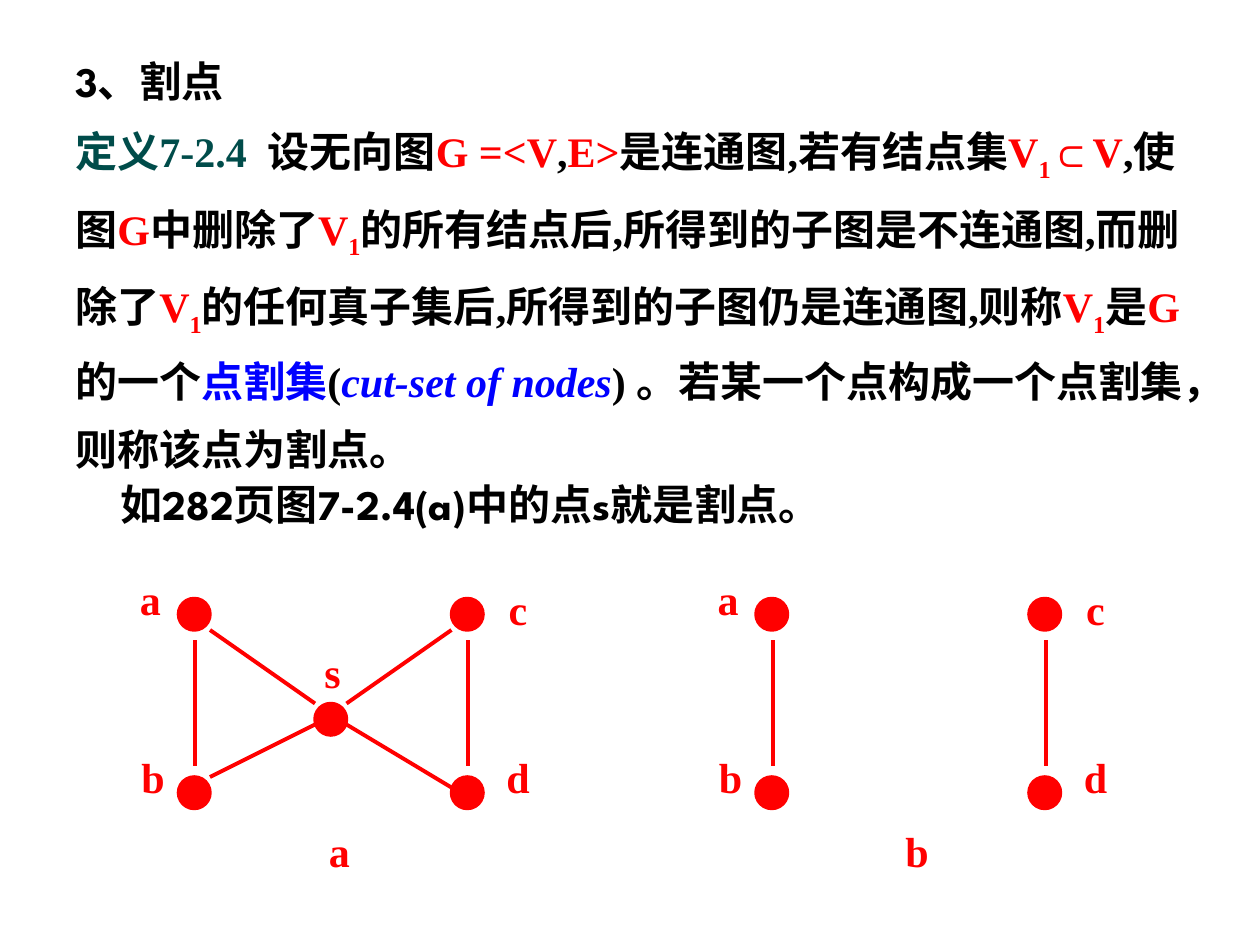
"""Build a slide that defines cut points and shows a graph before and after removing one."""
import pptx
import pptx.util
import pptx.dml.color
import pptx.enum.shapes
import pptx.enum.text
import pptx.oxml
import pptx.oxml.ns

Pt = pptx.util.Pt
RED, BLACK, BLUE, TEAL = "FF0000", "000000", "0000FF", "004C4A"
SERIF, HEAD, SANS = "Times New Roman", "League Spartan", "Noto Sans CJK SC"
STYLES = {
    "head": (HEAD, BLACK), "term": (SERIF, TEAL), "body": (SERIF, BLACK),
    "var": (SERIF, RED), "sub": (SERIF, RED), "sign": ("Arial", RED),
    "sans": (SANS, BLACK), "key": (SANS, BLUE), "latin": (SERIF, BLUE),
}


def tint(code):
    return pptx.dml.color.RGBColor.from_string(code)


def write(left, top, width, height, paras, space=None, center=False, wrap=True):
    frame = shapes.add_textbox(Pt(left), Pt(top), Pt(width), Pt(height)).text_frame
    frame.word_wrap = wrap
    frame.auto_size = pptx.enum.text.MSO_AUTO_SIZE.SHAPE_TO_FIT_TEXT
    for num, runs in enumerate(paras):
        para = frame.add_paragraph() if num else frame.paragraphs[0]
        if space:
            para.line_spacing = space
        if center:
            para.alignment = pptx.enum.text.PP_ALIGN.CENTER
        for text, style in runs:
            run = para.add_run()
            run.text = text
            face, color = STYLES[style]
            font = run.font
            font.name, font.size, font.bold = face, Pt(24), True
            font.italic = style == "latin"
            font.color.rgb = tint(color)
            props = run._r.get_or_add_rPr()
            east = pptx.oxml.parse_xml(f'<a:ea {pptx.oxml.ns.nsdecls("a")} typeface="{SANS}"/>')
            props.find(pptx.oxml.ns.qn("a:latin")).addnext(east)
            if style == "sub":
                props.set("baseline", "-25000")


deck = pptx.Presentation()
deck.slide_width, deck.slide_height = Pt(720), Pt(540)
shapes = deck.slides.add_slide(deck.slide_layouts[6]).shapes

subset = [("V", "var"), ("1", "sub")]
title = [("3、割点", "head")]
claim = [
    ("定义7-2.4  ", "term"), ("设无向图", "body"), ("G =<V", "var"), (",", "body"),
    ("E>", "var"), ("是连通图,若有结点集", "body"), *subset, ("⊂", "sign"), ("V", "var"),
    (",使图", "body"), ("G", "var"), ("中删除了", "body"), *subset,
    ("的所有结点后,所得到的子图是不连通图,而删除了", "body"), *subset,
    ("的任何真子集后,所得到的子图仍是连通图,则称", "body"), *subset, ("是", "body"),
    ("G", "var"), ("的一个", "sans"), ("点割集", "key"), ("(", "body"),
    ("cut-set of nodes", "latin"), (") 。", "body"),
    ("若某一个点构成一个点割集，则称该点为割点。", "head"),
]
write(36, 18, 648, 256, [title, claim], space=1.35)
write(62, 270, 459, 36, [[("如282页图7-2.4(a)中的点s就是割点。", "head")]], wrap=False)

dots = [(102, 342), (102, 444), (258, 342), (258, 444)]
names = [("a", 66, 324), ("b", 67.5, 426), ("c", 276, 330), ("d", 276, 426)]
sides = [(111.5, 366, 111.5, 438), (267.5, 366, 267.5, 438)]
spokes = [
    (120, 360, 180, 402), (198, 414, 258, 450),
    (120, 444, 180, 414), (198, 402, 258, 360),
]
graphs = [
    (0, "a", dots + [(180, 402)], names + [("s", 170, 366)], sides + spokes),
    (330, "b", dots, names, sides),
]
for shift, title, nodes, labels, edges in graphs:
    for left, top in nodes:
        dot = shapes.add_shape(pptx.enum.shapes.MSO_SHAPE.OVAL,
                               Pt(left + shift), Pt(top), Pt(18), Pt(18))
        dot.shadow.inherit = False
        dot.fill.solid()
        dot.fill.fore_color.rgb = dot.line.color.rgb = tint(RED)
        dot.line.width = Pt(2)
    for x1, y1, x2, y2 in edges:
        edge = shapes.add_connector(pptx.enum.shapes.MSO_CONNECTOR.STRAIGHT,
                                    Pt(x1 + shift), Pt(y1), Pt(x2 + shift), Pt(y2))
        edge.line.color.rgb = tint(RED)
        edge.line.width = Pt(2.25)
        flat = pptx.oxml.parse_xml(f'<a:effectLst {pptx.oxml.ns.nsdecls("a")}/>')
        edge._element.spPr.append(flat)
    for name, left, top in labels + [(title, 174, 468)]:
        write(left + shift, top, 40, 36, [[(name, "var")]], center=True)

deck.save("out.pptx")
